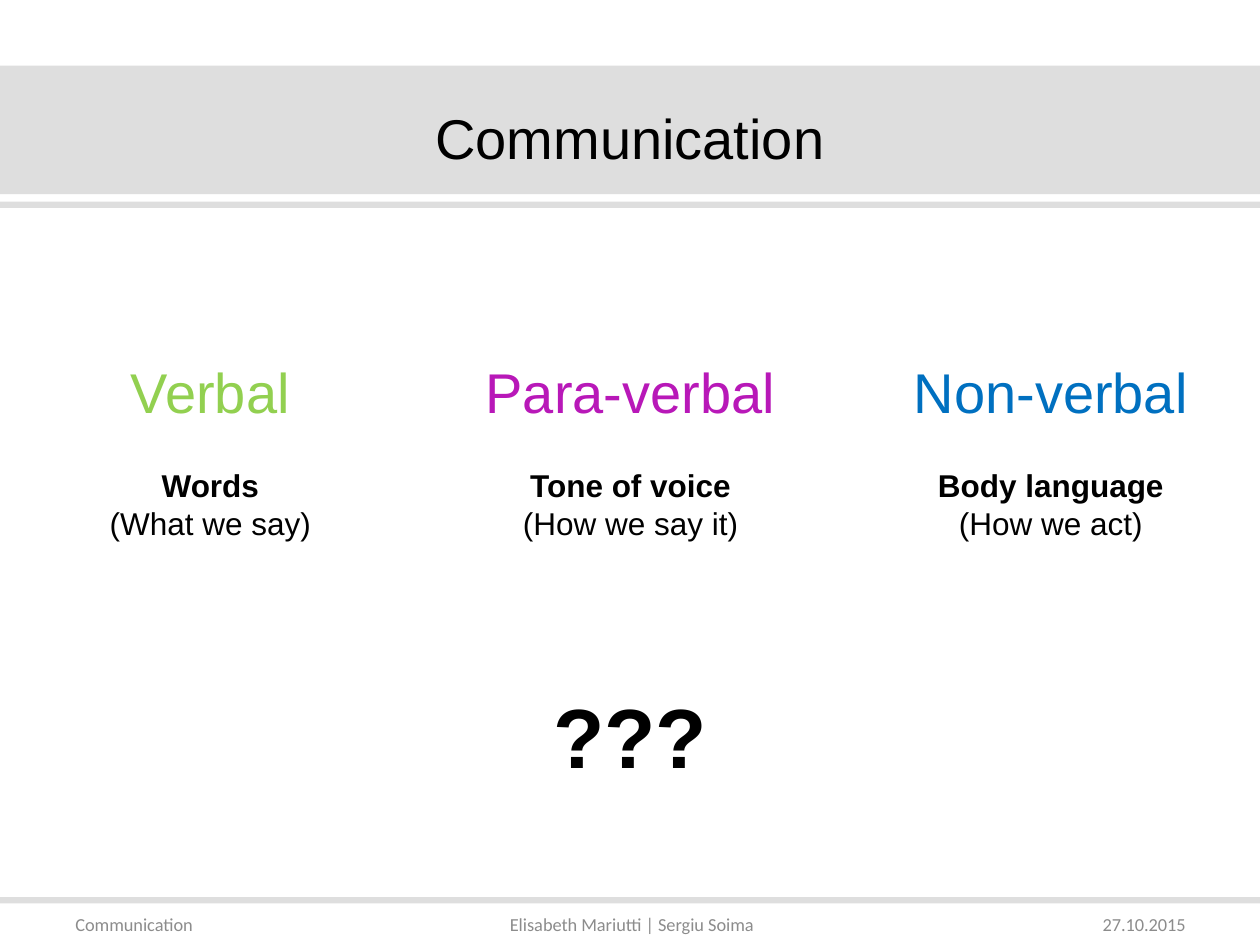
from dataclasses import dataclass

from lxml import etree
from pptx import Presentation
from pptx.dml.color import RGBColor
from pptx.enum.shapes import MSO_SHAPE
from pptx.enum.text import MSO_ANCHOR, PP_ALIGN
from pptx.oxml.ns import qn
from pptx.util import Inches, Pt

RECTANGLE = MSO_SHAPE.RECTANGLE
TOP, MIDDLE = MSO_ANCHOR.TOP, MSO_ANCHOR.MIDDLE
LEFT, CENTER, RIGHT = PP_ALIGN.LEFT, PP_ALIGN.CENTER, PP_ALIGN.RIGHT


@dataclass(frozen=True)
class Theme:
    """Colours, fonts and type sizes of the deck."""

    band: str = "BFBFBF"
    band_opacity: int = 50
    ink: str = "000000"
    muted: str = "8C8C8C"
    verbal: str = "92D050"
    para_verbal: str = "B818B8"
    non_verbal: str = "0070C0"
    body_font: str = "Arial"
    footer_font: str = "Calibri"
    heading_size: float = 32
    detail_size: float = 18
    question_size: float = 48
    footer_size: float = 10.5


THEME = Theme()


def add_band(page, left, top, width, height):
    """Draw a half-transparent grey bar."""
    band = page.shapes.add_shape(
        RECTANGLE, Inches(left), Inches(top), Inches(width), Inches(height))
    band.shadow.inherit = False
    band.line.fill.background()
    band.fill.solid()
    band.fill.fore_color.rgb = RGBColor.from_string(THEME.band)
    colour = band.fill._xPr.find(qn("a:solidFill"))[0]
    etree.SubElement(colour, qn("a:alpha"), val=str(THEME.band_opacity * 1000))


def add_text(page, box, lines, size, color=THEME.ink, font=THEME.body_font,
             align=CENTER, anchor=MIDDLE):
    """Write (text, bold) lines as paragraphs of one text box."""
    frame = page.shapes.add_textbox(*map(Inches, box)).text_frame
    frame.word_wrap = True
    frame.vertical_anchor = anchor
    style = {"name": font, "size": Pt(size)}
    for index, (text, bold) in enumerate(lines):
        para = frame.add_paragraph() if index else frame.paragraphs[0]
        para.alignment = align
        span = para.add_run()
        span.text = text
        for name, value in {**style, "bold": bold}.items():
            setattr(span.font, name, value)
        span.font.color.rgb = RGBColor.from_string(color)


def add_header(page, left, top, width, title):
    """Place the title on its band with a thin rule below."""
    add_band(page, left, top, width, 1.02)
    add_text(page, (left, top, width, 1.13), [(title, False)], THEME.heading_size)
    add_band(page, left, top + 1.08, width, 0.05)


def add_channel(page, left, top, width, name, color, summary, meaning):
    """Place one kind of communication with its explanation."""
    add_text(page, (left, top, width, 0.45), [(name, False)],
             THEME.heading_size, color)
    add_text(page, (left, top + 0.77, width, 0.45),
             [(summary, True), (meaning, False)], THEME.detail_size, anchor=TOP)


def add_channels(page, left, top, width, channels):
    """Spread the kinds of communication evenly across the width."""
    column = 2.8
    step = (width - column) / (len(channels) - 1)
    for index, channel in enumerate(channels):
        add_channel(page, left + index * step, top, column, *channel)


def add_footer(page, left, top, width, topic, authors, date):
    """Place the footer rule with topic, authors and date."""
    add_band(page, left, top, width, 0.05)
    parts = [(topic, 0.5, 2.33, LEFT), (authors, 2.84, 4.35, CENTER),
             (date, 7.68, 1.83, RIGHT)]
    for text, offset, span_width, align in parts:
        add_text(page, (left + offset, top + 0.05, span_width, 0.33),
                 [(text, False)], THEME.footer_size, THEME.muted,
                 THEME.footer_font, align)


def main():
    """Build and save the communication slide."""
    deck = Presentation()
    deck.slide_width, deck.slide_height = Inches(10), Inches(7.5)
    page = deck.slides.add_slide(deck.slide_layouts[6])
    add_footer(page, 0, 7.12, 10, "Communication",
               "Elisabeth Mariutti | Sergiu Soima", "27.10.2015")
    add_header(page, 0, 0.52, 10, "Communication")
    add_channels(page, 0.27, 2.88, 9.47, [
        ("Verbal", THEME.verbal, "Words", "(What we say)"),
        ("Para-verbal", THEME.para_verbal, "Tone of voice", "(How we say it)"),
        ("Non-verbal", THEME.non_verbal, "Body language", "(How we act)"),
    ])
    add_text(page, (0, 5.27, 10, 1.13), [("???", True)], THEME.question_size)
    deck.save("out.pptx")


if __name__ == "__main__":
    main()
